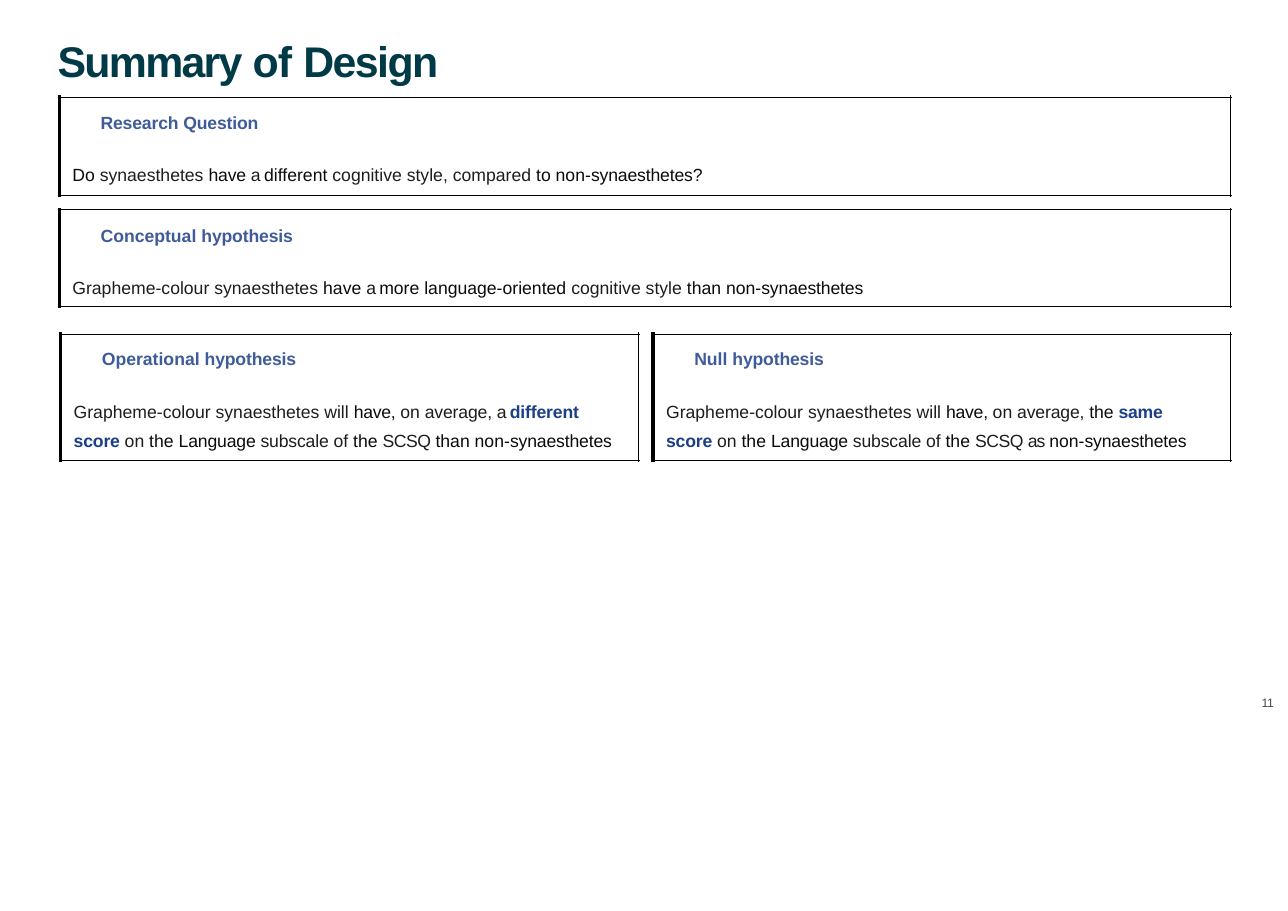
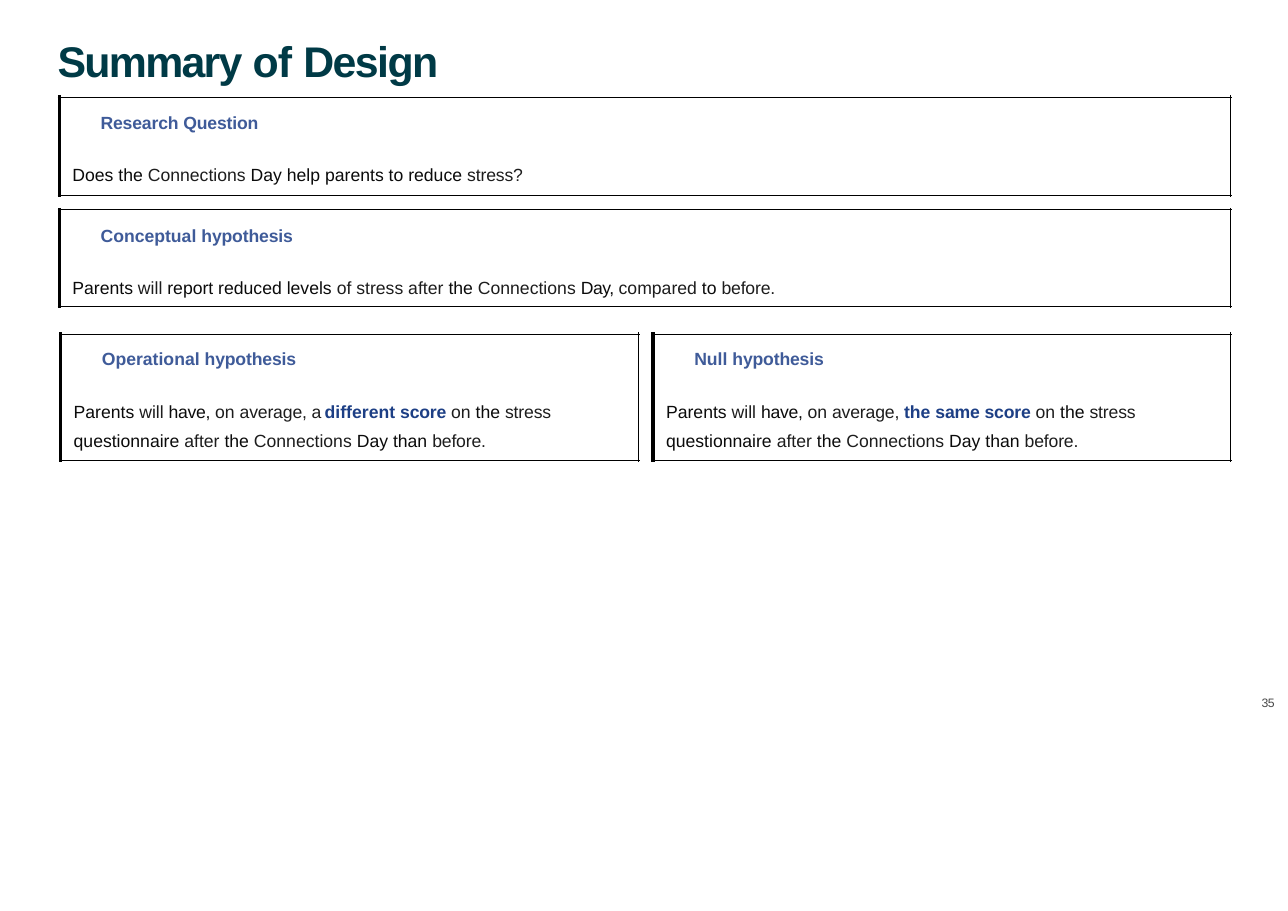
from pptx import Presentation
from pptx.dml.color import RGBColor
from pptx.enum.shapes import MSO_CONNECTOR as Connector
from pptx.oxml.ns import qn
from pptx.util import Cm, Pt
from lxml.etree import SubElement

FONT = "Arial"
COLOURS = {
    "title": "003A46",
    "heading": "3F5B99",
    "accent": "1D3F85",
    "ink": "0B0B0B",
    "soft": "1D1D1D",
    "page": "484848",
    "rule": "000000",
}
BOLD = {"title", "heading", "accent"}
THICK, THIN = 2.16, 0.48
OVERHANG = 0.04
TEXT_SHIFT = 0.05
HEADING_INDENT, BODY_INDENT = 0.9, 0.25
TEXT_SIZE = 11.5

# left, top, right, bottom, text top, right inset, space before body, line spacing
PANELS = [
    (1.37, 2.24, 28.37, 4.5, 2.54, 0, 20.4, 1),
    (1.37, 4.83, 28.37, 7.06, 5.15, 0, 20.4, 1),
    (1.4, 7.7, 14.71, 10.62, 7.98, 0.46, 15.7, 1.38),
    (15.06, 7.7, 28.37, 10.62, 7.98, 0.74, 15.7, 1.38),
]
HEADINGS = [
    [("Research Question", "heading", -0.1)],
    [("Conceptual ", "heading", 0), ("hypothesis", "heading", -0.1)],
    [("Operational ", "heading", 0), ("hypothesis", "heading", -0.1)],
    [("Null ", "heading", 0), ("hypothesis", "heading", -0.1)],
]
TITLE = [("Summary ", "title", -1.1), ("of ", "title", -0.5), ("Design", "title", -1)]

ON_AVERAGE = [("have, ", "ink", -0.2), ("on ", "soft", 0), ("average, ", "soft", -0.1)]
SYNAESTHETES_WILL = [("Grapheme-colour synaesthetes will ", "soft", 0)] + ON_AVERAGE
ON_SUBSCALE = [
    ("on ", "soft", 0), ("the ", "ink", 0), ("Language ", "ink", -0.1),
    ("subscale ", "soft", -0.1), ("of ", "soft", 0), ("the ", "ink", 0),
    ("SCSQ ", "soft", -0.3),
]
NON_SYNAESTHETES = [("non-", "ink", 0), ("synaesthetes", "ink", -0.1)]
PARENTS_WILL = [("Parents ", "ink", 0), ("will ", "soft", 0)] + ON_AVERAGE
ON_QUESTIONNAIRE = [
    ("on ", "soft", 0), ("the ", "ink", 0), ("stress ", "soft", -0.1),
    ("questionnaire ", "ink", 0), ("after ", "soft", 0), ("the ", "ink", 0),
    ("Connections ", "soft", 0), ("Day than ", "ink", 0), ("before.", "soft", -0.1),
]

SYNAESTHESIA_STUDY = [
    [
        ("Do ", "ink", 0), ("synaesthetes ", "soft", 0), ("have ", "ink", -0.1),
        ("a ", "soft", -1), ("different ", "ink", 0),
        ("cognitive style, compared ", "soft", 0), ("to ", "ink", 0),
    ] + NON_SYNAESTHETES + [("?", "ink", -0.1)],
    [
        ("Grapheme-colour synaesthetes ", "soft", 0), ("have ", "ink", 0),
        ("a ", "soft", -1.1), ("more language-oriented ", "ink", 0),
        ("cognitive style ", "soft", 0), ("than ", "ink", 0),
    ] + NON_SYNAESTHETES,
    SYNAESTHETES_WILL + [("a ", "soft", -1.1), ("different score ", "accent", -0.1)]
    + ON_SUBSCALE + [("than ", "ink", 0)] + NON_SYNAESTHETES,
    SYNAESTHETES_WILL
    + [("the ", "ink", 0), ("same ", "accent", -0.2), ("score ", "accent", -0.1)]
    + ON_SUBSCALE + [("as ", "soft", -0.7)] + NON_SYNAESTHETES,
]
CONNECTIONS_STUDY = [
    [
        ("Does the ", "ink", 0), ("Connections ", "soft", 0),
        ("Day help parents to reduce ", "ink", 0), ("stress?", "soft", -0.1),
    ],
    [
        ("Parents ", "ink", 0), ("will ", "soft", 0), ("report reduced levels ", "ink", 0),
        ("of stress after ", "soft", 0), ("the ", "ink", 0), ("Connections ", "soft", 0),
        ("Day, ", "ink", -0.3), ("compared ", "soft", 0), ("to ", "ink", 0),
        ("before.", "soft", -0.1),
    ],
    PARENTS_WILL
    + [("a ", "soft", -1.1), ("different ", "accent", 0), ("score ", "accent", -0.1)]
    + ON_QUESTIONNAIRE,
    PARENTS_WILL + [("the ", "accent", 0), ("same score ", "accent", -0.1)]
    + ON_QUESTIONNAIRE,
]


def add_text_frame(slide, left, top, width, height, right_inset=0):
    frame = slide.shapes.add_textbox(Cm(left), Cm(top), Cm(width), Cm(height)).text_frame
    frame.word_wrap = True
    frame.margin_left = frame.margin_bottom = 0
    frame.margin_top = Cm(0.03)
    frame.margin_right = Cm(right_inset)
    return frame


def fill_paragraph(paragraph, runs, size, before=0, indent=0, line_spacing=1):
    paragraph.space_before = Pt(before)
    paragraph.line_spacing = line_spacing
    paragraph._p.get_or_add_pPr().set("marL", str(Cm(indent)))
    for words, tone, spacing in runs:
        run = paragraph.add_run()
        run.text = words
        run.font.name = FONT
        run.font.size = Pt(size)
        run.font.bold = tone in BOLD
        run.font.color.rgb = RGBColor.from_string(COLOURS[tone])
        if spacing:
            run._r.get_or_add_rPr().set("spc", str(round(spacing * 100)))


def add_rule(slide, start, end, weight):
    rule = slide.shapes.add_connector(
        Connector.STRAIGHT, *(Cm(length) for length in start + end))
    rule.line.color.rgb = RGBColor.from_string(COLOURS["rule"])
    rule.line.width = Pt(weight)
    SubElement(rule._element.spPr, qn("a:effectLst"))


def add_panel(slide, panel, heading, body):
    left, top, right, bottom, text_top, right_inset, before, line_spacing = panel
    for x, weight in ((left, THICK), (right, THIN)):
        add_rule(slide, (x, top - OVERHANG), (x, bottom + OVERHANG), weight)
    for y in (top, bottom):
        add_rule(slide, (left - OVERHANG, y), (right + OVERHANG, y), THIN)
    frame = add_text_frame(slide, left + TEXT_SHIFT, text_top, right - left - TEXT_SHIFT,
                           bottom - text_top, right_inset)
    fill_paragraph(frame.paragraphs[0], heading, TEXT_SIZE, 1, HEADING_INDENT)
    fill_paragraph(frame.add_paragraph(), body, TEXT_SIZE, before, BODY_INDENT, line_spacing)


def add_summary(deck, bodies, page):
    slide = deck.slides.add_slide(deck.slide_layouts[6])
    for panel, heading, body in zip(PANELS, HEADINGS, bodies):
        add_panel(slide, panel, heading, body)
    title = add_text_frame(slide, 1.3, 0.76, 15, 1.17)
    fill_paragraph(title.paragraphs[0], TITLE, 28, 1.1, 0.03)
    number = add_text_frame(slide, 29.06, 16, 0.55, 0.38)
    fill_paragraph(number.paragraphs[0], [(page, "page", -0.2)], 8, 0.2, 0.03)


def main():
    deck = Presentation()
    deck.slide_width, deck.slide_height = Cm(29.7), Cm(21)
    add_summary(deck, SYNAESTHESIA_STUDY, "11")
    add_summary(deck, CONNECTIONS_STUDY, "35")
    deck.save("out.pptx")


if __name__ == "__main__":
    main()
